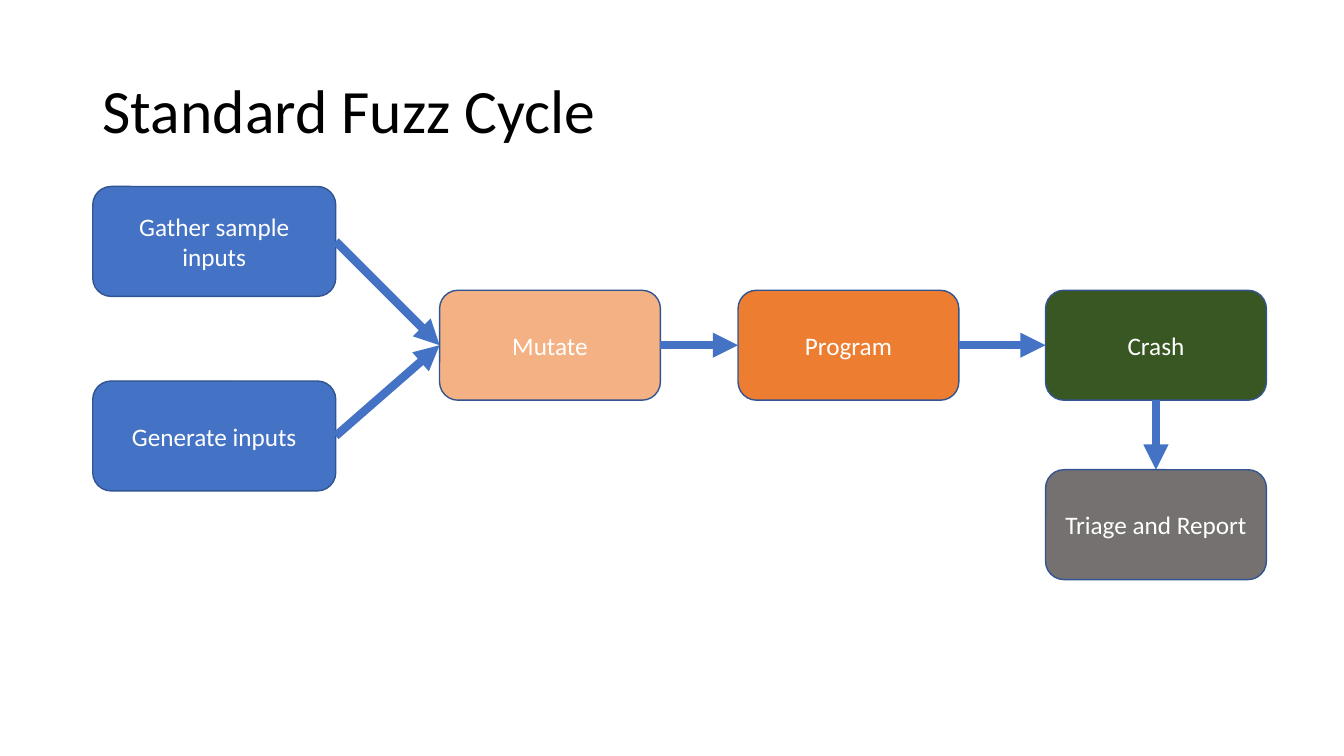
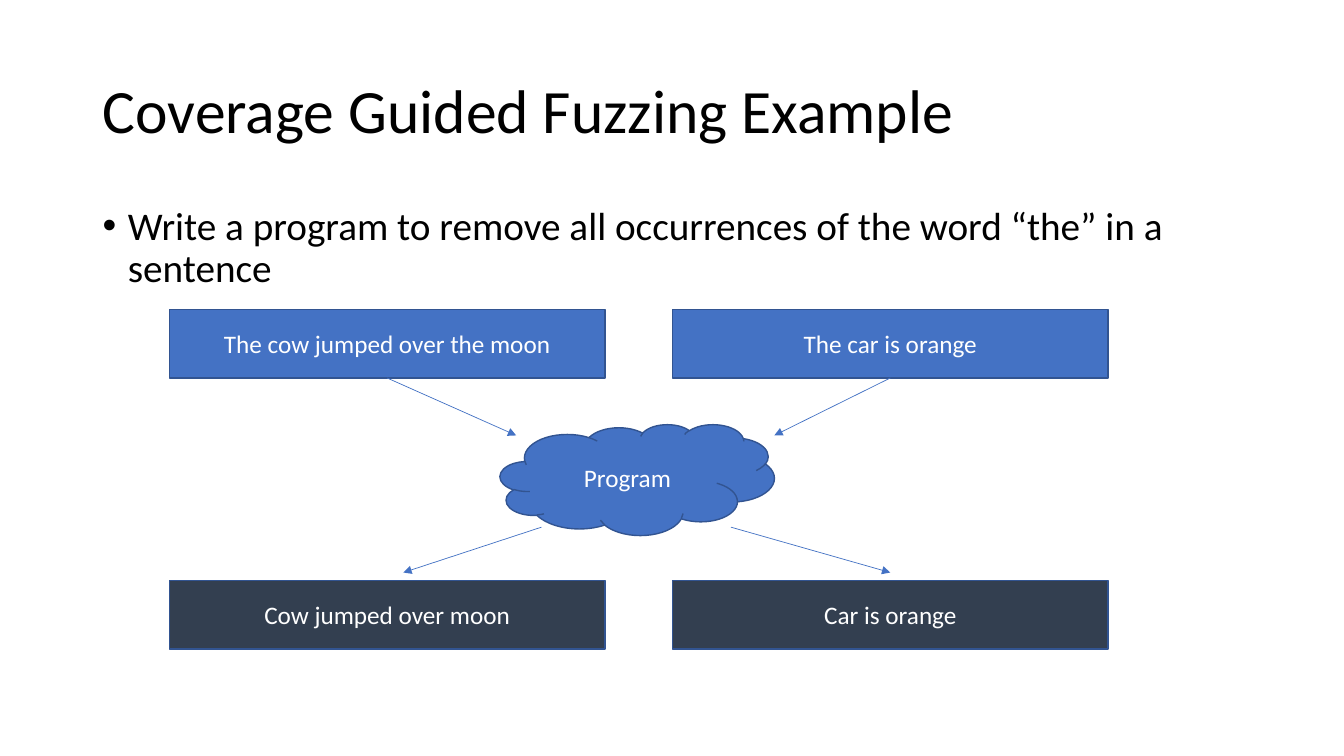
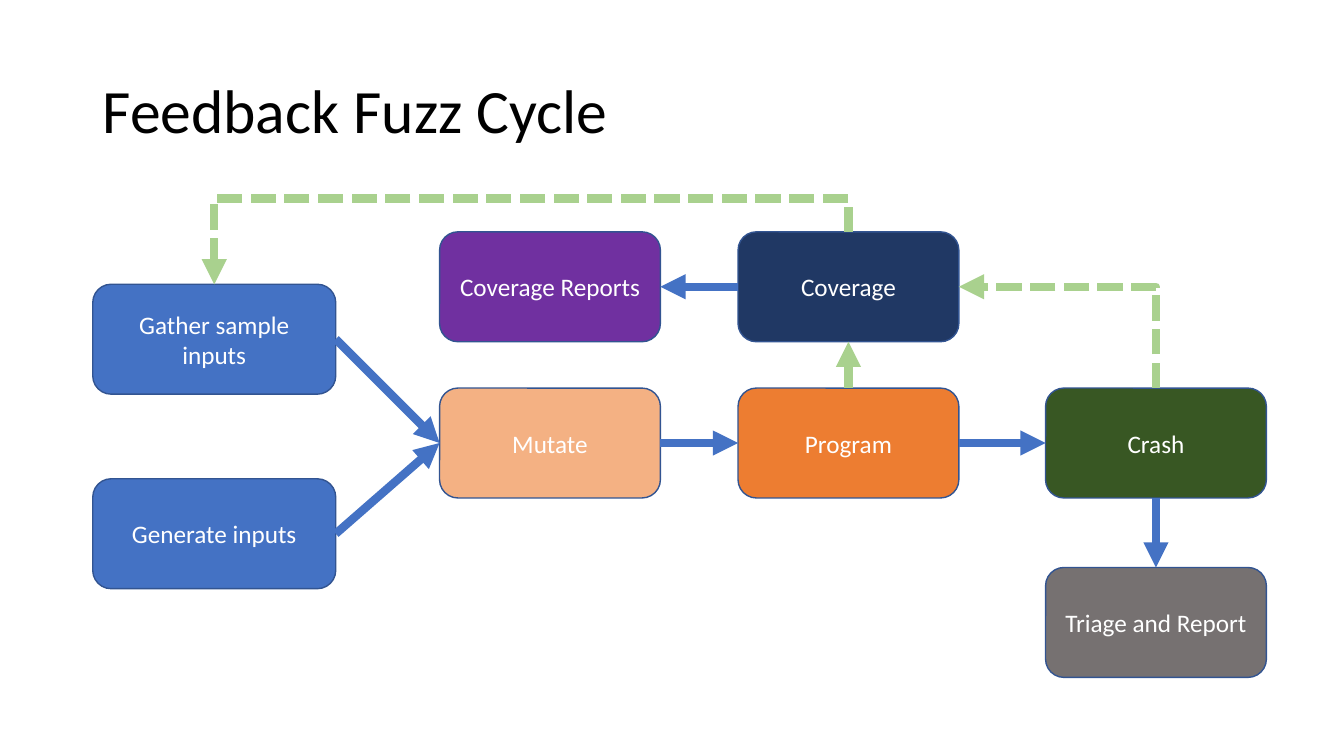
from dataclasses import dataclass

from lxml import etree
from pptx import Presentation
from pptx.dml.color import RGBColor
from pptx.enum import dml, shapes, text
from pptx.oxml.ns import qn
from pptx.util import Inches, Pt

TOP, LEFT, BOTTOM, RIGHT = range(4)
SHAPE = shapes.MSO_SHAPE


@dataclass(frozen=True)
class Theme:
    font: str = "Calibri"
    title_size: int = 44
    body_size: int = 28
    label_size: int = 18
    outline_width: float = 1
    flow_width: float = 6
    thin_width: float = 0.5
    ink: str = "000000"
    white: str = "FFFFFF"
    blue: str = "4472C4"
    outline: str = "325491"
    peach: str = "F4B183"
    orange: str = "ED7D31"
    green: str = "385723"
    light_green: str = "A9D18E"
    gray: str = "767171"
    slate: str = "333F50"
    navy: str = "203864"
    purple: str = "7030A0"


T = Theme()


def rgb(color):
    return RGBColor.from_string(color)


def write(sp, content, size, color=T.ink, align=None, spacing=None,
          anchor=text.MSO_ANCHOR.MIDDLE, bullet=None):
    tf = sp.text_frame
    tf.word_wrap = True
    tf.vertical_anchor = anchor
    p = tf.paragraphs[0]
    if bullet:
        pPr = p._p.get_or_add_pPr()
        pPr.set("marL", str(Inches(0.25)))
        pPr.set("indent", str(Inches(-0.25)))
        etree.SubElement(pPr, qn("a:buFont"), typeface="Arial")
        etree.SubElement(pPr, qn("a:buChar"), char=bullet)
    p.alignment = align
    p.line_spacing = spacing
    r = p.add_run()
    r.text = content
    r.font.name = T.font
    r.font.size = Pt(size)
    r.font.color.rgb = rgb(color)


def text_box(slide, box, content, size, **fmt):
    sp = slide.shapes.add_textbox(*map(Inches, box))
    write(sp, content, size, spacing=0.9, **fmt)


def node(slide, box, label, fill, kind=SHAPE.ROUNDED_RECTANGLE):
    sp = slide.shapes.add_shape(kind, *map(Inches, box))
    sp.shadow.inherit = False
    sp.fill.solid()
    sp.fill.fore_color.rgb = rgb(fill)
    sp.line.color.rgb = rgb(T.outline)
    sp.line.width = Pt(T.outline_width)
    write(sp, label, T.label_size, T.white, align=text.PP_ALIGN.CENTER)
    return sp


def arrow(slide, start, end, color=T.blue, width=T.flow_width,
          kind=shapes.MSO_CONNECTOR.STRAIGHT, dash=None):
    """Join two ends, each either an (x, y) point or a (shape, side) pair."""
    points = [(0, 0) if hasattr(e[0], "shape_id") else tuple(map(Inches, e))
              for e in (start, end)]
    cxn = slide.shapes.add_connector(kind, *points[0], *points[1])
    if hasattr(start[0], "shape_id"):
        cxn.begin_connect(*start)
    if hasattr(end[0], "shape_id"):
        cxn.end_connect(*end)
    cxn.line.color.rgb = rgb(color)
    cxn.line.width = Pt(width)
    if dash:
        cxn.line.dash_style = dash
    etree.SubElement(cxn.line._get_or_add_ln(), qn("a:tailEnd"), type="triangle")
    etree.SubElement(cxn._element.spPr, qn("a:effectLst"))
    return cxn


def feedback_arrow(slide, start, end, rise=None):
    """Dashed elbow that leaves upwards; with a rise it goes over and down."""
    cxn = arrow(slide, start, end, T.light_green,
                kind=shapes.MSO_CONNECTOR.ELBOW,
                dash=dml.MSO_LINE.SQUARE_DOT)
    dx, dy = cxn.end_x - cxn.begin_x, cxn.end_y - cxn.begin_y
    mid_x, mid_y = cxn.begin_x + dx // 2, cxn.begin_y + dy // 2
    # A quarter turn to the left maps a local step (-dy, dx) onto (dx, dy).
    cxn.width, cxn.height = abs(dy), abs(dx)
    cxn.left, cxn.top = mid_x - abs(dy) // 2, mid_y - abs(dx) // 2
    xfrm = cxn._element.spPr.find(qn("a:xfrm"))
    xfrm.set("rot", str(270 * 60000))
    xfrm.set("flipH", str(int(dy > 0)))
    xfrm.set("flipV", str(int(dx < 0)))
    geom = cxn._element.spPr.find(qn("a:prstGeom"))
    if rise is None:
        geom.set("prst", "bentConnector2")
    else:
        guides = geom.find(qn("a:avLst"))
        if guides is None:
            guides = etree.SubElement(geom, qn("a:avLst"))
        ratio = round(-100000 * Inches(rise) / dy)
        etree.SubElement(guides, qn("a:gd"), name="adj1", fmla=f"val {ratio}")


def new_slide(prs, title):
    slide = prs.slides.add_slide(prs.slide_layouts[6])
    text_box(slide, (0.92, 0.4, 11.5, 1.45), title, T.title_size)
    return slide


def fuzz_cycle(slide, left, top, with_coverage=False):
    input_w, step_w, h = 2.41, 2.19, 1.09
    mutate_x, program_x, crash_x = (left + dx for dx in (3.44, 6.4, 9.45))
    row = top + 1.03
    generate = node(slide, (left, top + 1.93, input_w, h), "Generate inputs", T.blue)
    gather = node(slide, (left, top, input_w, h), "Gather sample inputs", T.blue)
    mutate = node(slide, (mutate_x, row, step_w, h), "Mutate", T.peach)
    program = node(slide, (program_x, row, step_w, h), "Program", T.orange)
    crash = node(slide, (crash_x, row, step_w, h), "Crash", T.green)
    triage = node(slide, (crash_x, row + 1.78, step_w, h), "Triage and Report", T.gray)
    for a, b in ((gather, mutate), (generate, mutate), (mutate, program),
                 (program, crash)):
        arrow(slide, (a, RIGHT), (b, LEFT))
    arrow(slide, (crash, BOTTOM), (triage, TOP))

    if with_coverage:
        upper = row - 1.55
        coverage = node(slide, (program_x, upper, step_w, h), "Coverage", T.navy)
        reports = node(slide, (mutate_x, upper, step_w, h), "Coverage Reports", T.purple)
        arrow(slide, (program, TOP), (coverage, BOTTOM), T.light_green)
        arrow(slide, (coverage, LEFT), (reports, RIGHT))
        feedback_arrow(slide, (coverage, TOP), (gather, TOP), rise=0.33)
        feedback_arrow(slide, (crash, TOP), (coverage, RIGHT))


def word_removal(slide, left, top):
    """Two sentences run through one program, with the results below."""
    w, h, pitch, drop = 4.32, 0.68, 4.99, 2.69
    columns = (
        ("The cow jumped over the moon", "Cow jumped over moon",
         (3.44, 1.25), (3.69, 2.16), (2.32, 2.61)),
        ("The car is orange", "Car is orange",
         (6, 1.25), (5.57, 2.16), (7.15, 2.61)),
    )
    node(slide, (left + 3.28, top + 1.14, 2.72, 1.1), "Program", T.blue, SHAPE.CLOUD)
    for i, (before, after, *offsets) in enumerate(columns):
        x = left + i * pitch
        entry, leave, result = ((left + dx, top + dy) for dx, dy in offsets)
        source = node(slide, (x, top, w, h), before, T.blue, SHAPE.RECTANGLE)
        node(slide, (x, top + drop, w, h), after, T.slate, SHAPE.RECTANGLE)
        arrow(slide, (source, BOTTOM), entry, width=T.thin_width)
        arrow(slide, leave, result, width=T.thin_width)


def main():
    prs = Presentation()
    prs.slide_width, prs.slide_height = Inches(13.33), Inches(7.5)

    fuzz_cycle(new_slide(prs, "Standard Fuzz Cycle"), 0.92, 1.85)

    slide = new_slide(prs, "Coverage Guided Fuzzing Example")
    text_box(slide, (0.92, 2, 11.5, 4.76),
             "Write a program to remove all occurrences of the word “the” in a sentence",
             T.body_size, anchor=text.MSO_ANCHOR.TOP, bullet="•")
    word_removal(slide, 1.68, 3.07)

    fuzz_cycle(new_slide(prs, "Feedback Fuzz Cycle"), 0.92, 2.82, with_coverage=True)
    prs.save("out.pptx")


if __name__ == "__main__":
    main()
